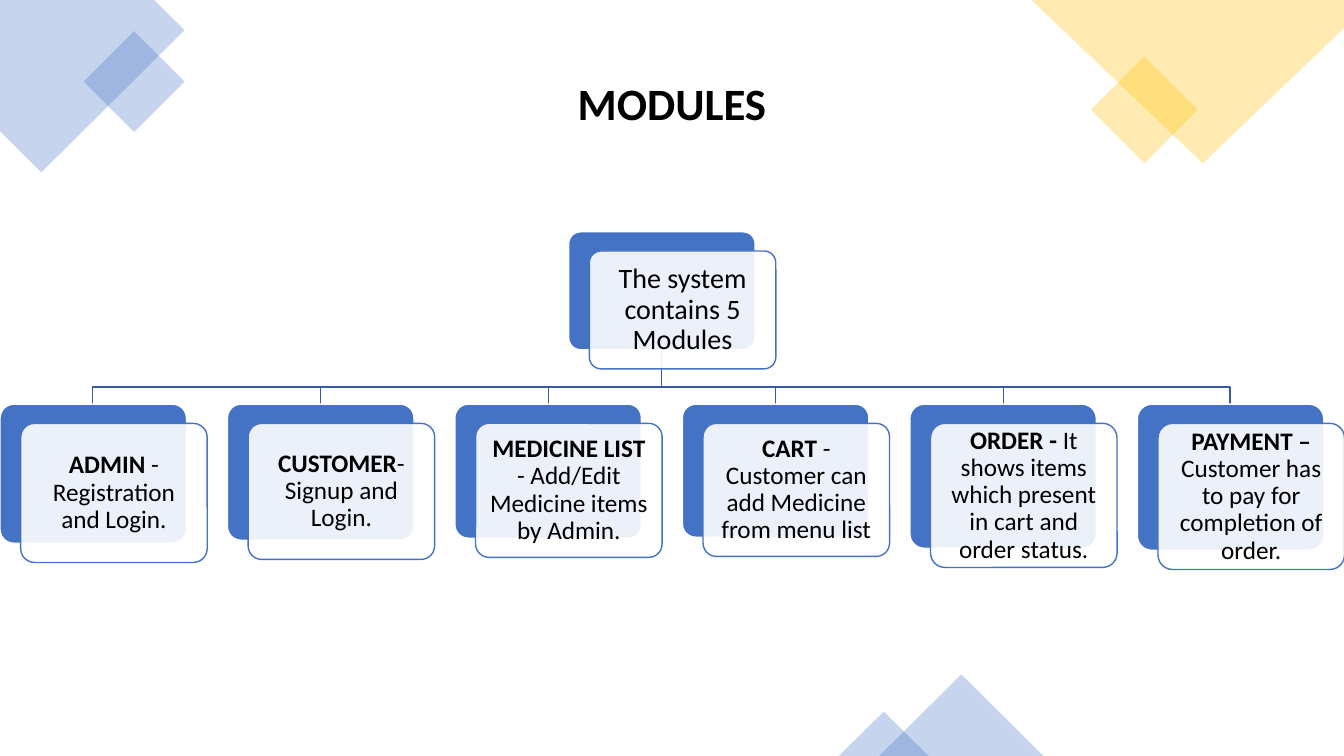
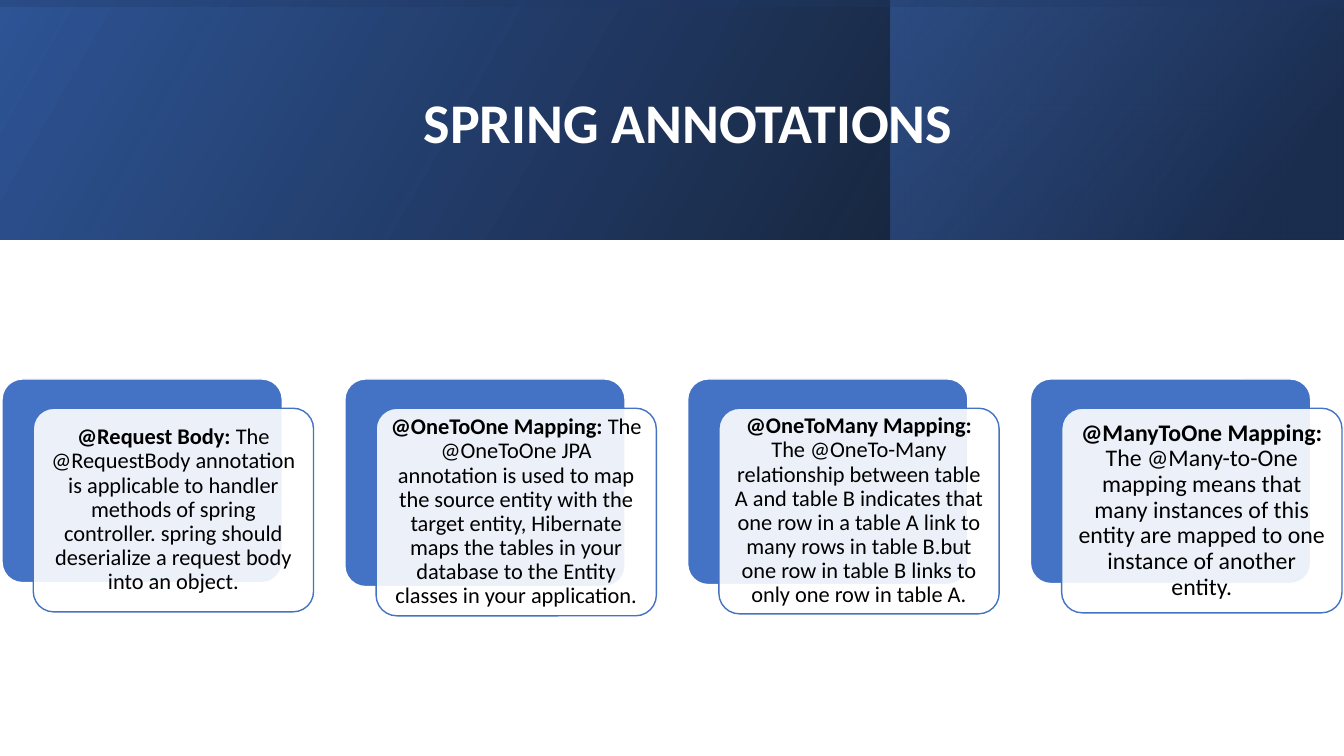
import pptx
import pptx.util
import pptx.dml.color
import pptx.enum.shapes
import pptx.enum.text
import pptx.oxml.ns
from lxml import etree

PX = 9144
WIDE, HIGH = 1333, 750
FONT = "Calibri"
BLUE, GOLD, NAVY, DEEP = "4472C4", "FFC000", "203864", "2F5597"
WHITE, BLACK, WIRE = "FFFFFF", "000000", "365B9D"
KIND = pptx.enum.shapes.MSO_SHAPE
ALIGN = pptx.enum.text.PP_ALIGN
MID = pptx.enum.text.MSO_ANCHOR.MIDDLE

CORNERS = [
    (BLUE, [(0, 0), (153, 0), (183, 30), (41, 171), (0, 130)]),
    (GOLD, [(1023, 0), (1333, 0), (1333, 28), (1193, 162)]),
]
ACCENTS = [
    (KIND.DIAMOND, BLUE, (83, 31, 100, 100)),
    (KIND.DIAMOND, GOLD, (1082, 56, 106, 106)),
    (KIND.ISOSCELES_TRIANGLE, BLUE, (872, 669, 163, 81)),
    (KIND.ISOSCELES_TRIANGLE, BLUE, (832, 706, 89, 44)),
]
ROOT = (564, 230, 185, 117)
ROOT_TEXT = [("The system contains 5 Modules", False)]
MODULES = [
    ("ADMIN", " - Registration and Login.", 138),
    ("CUSTOMER", "- Signup and Login.", 135),
    ("MEDICINE LIST", " - Add/Edit Medicine items by Admin.", 133),
    ("CART", " - Customer can add Medicine from menu list", 132),
    ("ORDER - ", "It shows items which present in cart and order status.", 143),
    ("PAYMENT – ", "Customer has to pay for completion of order.", 145),
]
NOTES = [
    ("@Request Body:", " The @RequestBody annotation is applicable to handler methods of "
     "spring controller. spring should deserialize a request body into an object.", 202, 16),
    ("@OneToOne Mapping:", " The @OneToOne JPA annotation is used to map the source entity "
     "with the target entity, Hibernate maps the tables in your database to the Entity "
     "classes in your application.", 206, 16),
    ("@OneToMany Mapping: ", "The @OneTo-Many relationship between table A and table B "
     "indicates that one row in a table A link to many rows in table B.but one row in "
     "table B links to only one row in table A.", 204, 16),
    ("@ManyToOne Mapping:", " The @Many-to-One mapping means that many instances of this "
     "entity are mapped to one instance of another entity.", 203, 17),
]
BAND = (0, 0, WIDE, 238)
PANEL = (883, 0, WIDE - 883, 238)
STRIP = (0, 0, WIDE, 7)


def px(*vals):
    return [pptx.util.Emu(round(v * PX)) for v in vals]


def rgb(code):
    return pptx.dml.color.RGBColor.from_string(code)


def fade(node, alpha):
    for clr in node.iter(pptx.oxml.ns.qn("a:srgbClr")):
        etree.SubElement(clr, pptx.oxml.ns.qn("a:alpha")).set("val", str(alpha * 1000))


def paint(shape, color, alpha=100, edge=None):
    shape.shadow.inherit = False
    if color:
        shape.fill.solid()
        shape.fill.fore_color.rgb = rgb(color)
        if alpha < 100:
            fade(shape.fill._xPr.solidFill, alpha)
    else:
        shape.fill.background()
    if edge:
        shape.line.color.rgb = rgb(edge)
        shape.line.width = pptx.util.Pt(1)
    else:
        shape.line.fill.background()


def add(slide, kind, box, *look):
    shape = slide.shapes.add_shape(kind, *px(*box))
    paint(shape, *look)
    return shape


def draw(slide, pts, close, *look):
    pen = slide.shapes.build_freeform(*pts[0], scale=PX)
    pen.add_line_segments(pts[1:], close=close)
    paint(pen.convert_to_shape(), *look)


def blend(shape, angle, stops):
    shape.fill.gradient()
    shape.fill.gradient_angle = angle
    for stop, (pos, color, alpha) in zip(shape.fill.gradient_stops, stops):
        stop.position = pos
        stop.color.rgb = rgb(color)
        fade(stop._gs, alpha)


def write(shape, parts, size, color=BLACK, inset=10, wrap=True, gap=0.9):
    frame = shape.text_frame
    frame.word_wrap = wrap
    frame.vertical_anchor = MID
    frame.margin_left, frame.margin_top, frame.margin_right, frame.margin_bottom = px(*[inset] * 4)
    para = frame.paragraphs[0]
    para.alignment = ALIGN.CENTER
    para.line_spacing = gap
    for text, bold in parts:
        run = para.add_run()
        run.text = text
        run.font.name = FONT
        run.font.size = pptx.util.Pt(size)
        run.font.bold = bold
        run.font.color.rgb = rgb(color)


def title(slide, box, text, size, color, wrap, gap):
    write(slide.shapes.add_textbox(*px(*box)), [(text, True)], size, color, 5, wrap, gap)


def plate(slide, box, *look):
    shape = add(slide, KIND.ROUNDED_RECTANGLE, box, *look)
    shape.adjustments[0] = 0.1
    return shape


def card(slide, box, shift, parts, size, inset):
    left, top, wide, high = box
    plate(slide, box, BLUE, 100, WHITE)
    face = plate(slide, (left + shift[0], top + shift[1], wide, high), WHITE, 90, BLUE)
    write(face, parts, size, inset=inset)


def modules(slide):
    for color, pts in CORNERS:
        draw(slide, pts, True, color, 30)
    for kind, color, box in ACCENTS:
        add(slide, kind, box, color, 30)
    title(slide, (562, 70, 209, 64), "MODULES", 32, BLACK, False, 1.0)

    wide, top, bus, shift = 185, 401, 384, (20.5, 19)
    lefts = [i * 1128 / 5 for i in range(len(MODULES))]
    hub, foot = ROOT[0] + ROOT[2] / 2, ROOT[1] + ROOT[3]
    for left in reversed(lefts):
        mid = left + wide / 2
        draw(slide, [(hub, foot), (hub, bus), (mid, bus), (mid, top)], False, None, 100, WIRE)
    card(slide, ROOT, shift, ROOT_TEXT, 20, 8)
    for (name, text, high), left in zip(MODULES, lefts):
        card(slide, (left, top, wide, high), shift, [(name, True), (text, False)], 18, 7)


def notes(slide):
    band = add(slide, KIND.RECTANGLE, BAND, DEEP)
    blend(band, 330, [(0, DEEP, 100), (1, BLACK, 96)])
    panel = add(slide, KIND.RECTANGLE, PANEL, NAVY)
    blend(panel, 320, [(0, BLUE, 48), (0.81, NAVY, 62)])
    add(slide, KIND.RECTANGLE, BAND, DEEP, 14)
    add(slide, KIND.RECTANGLE, STRIP, NAVY, 30)
    title(slide, (151, 38, 1063, 172), "SPRING ANNOTATIONS", 40, WHITE, True, 0.9)
    for i, (name, text, high, size) in enumerate(NOTES):
        box = (2 + 340 * i, 376, 278, high)
        card(slide, box, (31, 29), [(name, True), (text, False)], size, 7)


def main():
    deck = pptx.Presentation()
    deck.slide_width, deck.slide_height = px(WIDE, HIGH)
    for build in (modules, notes):
        build(deck.slides.add_slide(deck.slide_layouts[6]))
    deck.save("out.pptx")


if __name__ == "__main__":
    main()
